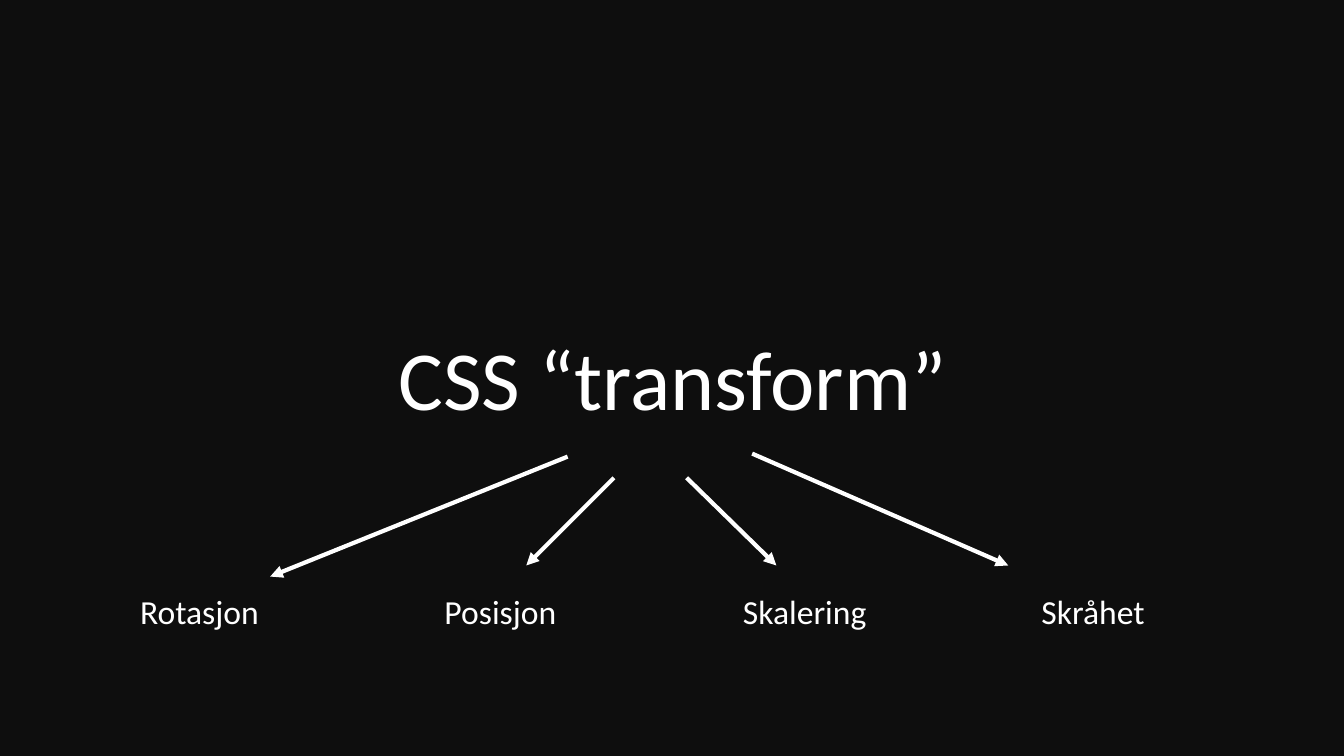
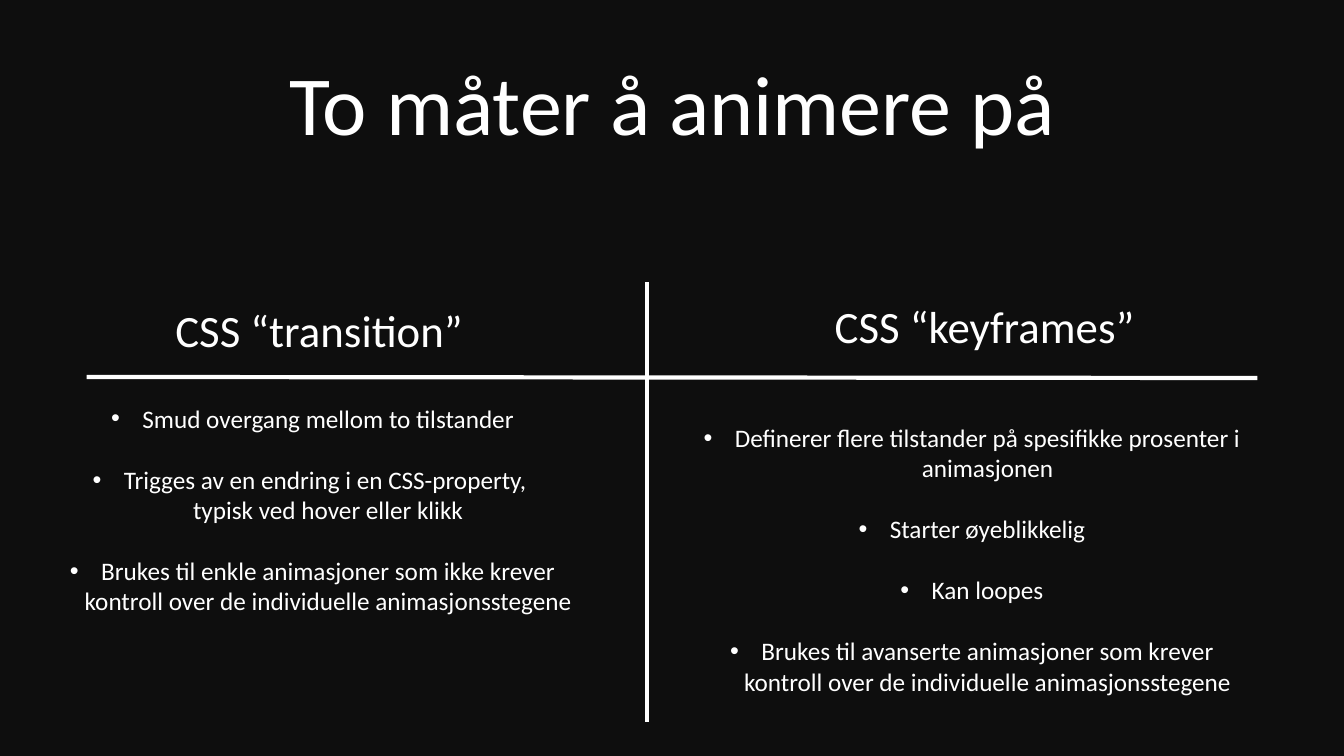
import lxml.etree
import pptx
import pptx.dml.color
import pptx.enum.shapes
import pptx.enum.text
import pptx.oxml.ns
import pptx.util

Inches = pptx.util.Inches
Pt = pptx.util.Pt

FONT = "Calibri"
BACKGROUND = "0E0E0E"
FOREGROUND = "FFFFFF"
TITLE_SIZE, HEADING_SIZE, LABEL_SIZE, BULLET_SIZE = 60, 32, 24, 18
LINE_WIDTH = 3
BULLET_INDENT = 0.31
BULLET_GAP = 22

TRANSFORM_TITLE = ("CSS “transform”", (1.67, 1.69, 10, 2.61))
TRANSFORM_PARTS = [
    ("Rotasjon", (1.29, 5.81, 1.39, 0.5), (5.63, 4.53), (2.68, 5.72)),
    ("Posisjon", (4.31, 5.81, 1.32, 0.5), (6.09, 4.74), (5.22, 5.61)),
    ("Skalering", (7.27, 5.81, 1.44, 0.5), (6.81, 4.74), (7.7, 5.61)),
    ("Skråhet", (10.23, 5.81, 1.24, 0.5), (7.46, 4.5), (10, 5.61)),
]

ANIMATION_TITLE = ("To måter å animere på", (1.67, 0.46, 10, 1.11))
ANIMATION_COLUMNS = [
    {
        "heading": "CSS “transition”",
        "heading_box": (1.64, 2.95, 3.09, 0.64),
        "bullets": [
            "Smud overgang mellom to tilstander",
            "Trigges av en endring i en CSS-property, \vtypisk ved hover eller klikk",
            "Brukes til enkle animasjoner som ikke krever kontroll over de "
            "individuelle animasjonsstegene",
        ],
        "bullets_box": (0.27, 3.95, 5.66, 2.22),
    },
    {
        "heading": "CSS “keyframes”",
        "heading_box": (8.18, 2.91, 3.2, 0.64),
        "bullets": [
            "Definerer flere tilstander på spesifikke prosenter i animasjonen",
            "Starter øyeblikkelig",
            "Kan loopes",
            "Brukes til avanserte animasjoner som krever kontroll over de "
            "individuelle animasjonsstegene",
        ],
        "bullets_box": (6.81, 4.14, 5.66, 2.83),
    },
]
DIVIDERS = [((6.42, 2.8), (6.42, 7.16)), ((0.86, 3.74), (12.47, 3.75))]


def color(value):
    return pptx.dml.color.RGBColor.from_string(value)


def format_runs(paragraph, size):
    for run in paragraph.runs:
        run.font.name = FONT
        run.font.size = Pt(size)
        run.font.color.rgb = color(FOREGROUND)


def add_titled_slide(presentation, title, box):
    slide = presentation.slides.add_slide(presentation.slide_layouts[5])
    shape = slide.shapes.title
    shape.left, shape.top, shape.width, shape.height = map(Inches, box)
    frame = shape.text_frame
    frame.text = title
    frame.word_wrap = True
    frame.auto_size = pptx.enum.text.MSO_AUTO_SIZE.NONE
    frame.vertical_anchor = pptx.enum.text.MSO_ANCHOR.BOTTOM
    paragraph = frame.paragraphs[0]
    paragraph.alignment = pptx.enum.text.PP_ALIGN.CENTER
    paragraph.line_spacing = 0.9
    format_runs(paragraph, TITLE_SIZE)
    return slide


def add_text(slide, texts, box, size, wrap=False):
    frame = slide.shapes.add_textbox(*map(Inches, box)).text_frame
    frame.word_wrap = wrap
    frame.auto_size = pptx.enum.text.MSO_AUTO_SIZE.SHAPE_TO_FIT_TEXT
    for index, text in enumerate(texts):
        paragraph = frame.add_paragraph() if index else frame.paragraphs[0]
        paragraph.text = text
        format_runs(paragraph, size)
    return frame


def add_bullets(slide, texts, box):
    frame = add_text(slide, texts, box, BULLET_SIZE, wrap=True)
    for index, paragraph in enumerate(frame.paragraphs):
        paragraph.alignment = pptx.enum.text.PP_ALIGN.CENTER
        if index:
            paragraph.space_before = Pt(BULLET_GAP)
        properties = paragraph._p.get_or_add_pPr()
        properties.set("marL", str(Inches(BULLET_INDENT)))
        properties.set("indent", str(-Inches(BULLET_INDENT)))
        qn = pptx.oxml.ns.qn
        lxml.etree.SubElement(properties, qn("a:buFont"), typeface="Arial")
        lxml.etree.SubElement(properties, qn("a:buChar"), char="•")


def add_line(slide, start, end, arrow=False):
    connector = slide.shapes.add_connector(
        pptx.enum.shapes.MSO_CONNECTOR.STRAIGHT, *map(Inches, start + end)
    )
    connector.line.color.rgb = color(FOREGROUND)
    connector.line.width = Pt(LINE_WIDTH)
    qn = pptx.oxml.ns.qn
    if arrow:
        line = connector.line._get_or_add_ln()
        lxml.etree.SubElement(line, qn("a:tailEnd"), type="triangle")
    lxml.etree.SubElement(connector._element.spPr, qn("a:effectLst"))


def build_transform_slide(presentation):
    slide = add_titled_slide(presentation, *TRANSFORM_TITLE)
    for label, box, start, end in TRANSFORM_PARTS:
        add_text(slide, [label], box, LABEL_SIZE)
        add_line(slide, start, end, arrow=True)


def build_animation_slide(presentation):
    slide = add_titled_slide(presentation, *ANIMATION_TITLE)
    for start, end in DIVIDERS:
        add_line(slide, start, end)
    for column in ANIMATION_COLUMNS:
        add_text(slide, [column["heading"]], column["heading_box"], HEADING_SIZE)
        add_bullets(slide, column["bullets"], column["bullets_box"])


def main():
    """Build the two slides on CSS transforms and animation."""
    presentation = pptx.Presentation()
    presentation.slide_width = Inches(13.33)
    presentation.slide_height = Inches(7.5)
    background = presentation.slide_master.background.fill
    background.solid()
    background.fore_color.rgb = color(BACKGROUND)
    build_transform_slide(presentation)
    build_animation_slide(presentation)
    presentation.save("out.pptx")


if __name__ == "__main__":
    main()
